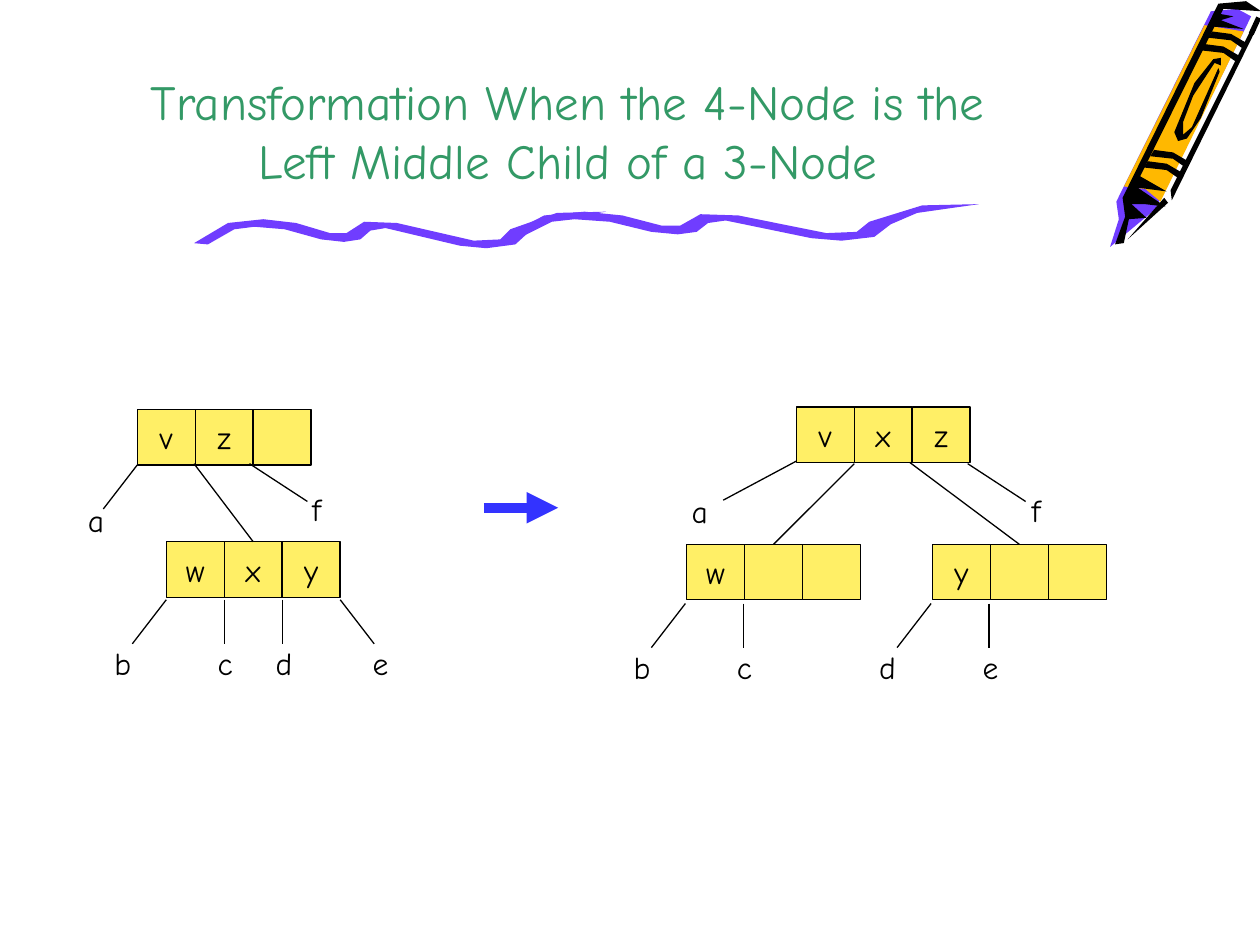
from dataclasses import dataclass

from lxml.etree import SubElement
from pptx import Presentation
from pptx.dml.color import RGBColor
from pptx.enum.shapes import MSO_CONNECTOR, MSO_SHAPE
from pptx.enum.text import MSO_ANCHOR, MSO_AUTO_SIZE, PP_ALIGN
from pptx.oxml.ns import qn
from pptx.util import Pt

PX = 9144  # 100 px to the inch


@dataclass(frozen=True)
class Theme:
    font: str = "Comic Neue"
    title_size: int = 28
    body_size: int = 18
    thin: float = 0.75
    title: str = "339966"
    ink: str = "000000"
    cell: str = "FFEF66"
    arrow: str = "3333FF"
    purple: str = "703DFF"
    orange: str = "FFB800"


THEME = Theme()
CELL_W, CELL_H = 46, 44
LABEL_W, LABEL_H = 30, 40

deck = Presentation()
deck.slide_width, deck.slide_height = 1000 * PX, 750 * PX
page = deck.slides.add_slide(deck.slide_layouts[5])


def write_text(shape, text, *, size=THEME.body_size, color=THEME.ink,
               align=PP_ALIGN.CENTER, anchor=MSO_ANCHOR.MIDDLE, wrap=True):
    frame = shape.text_frame
    frame.auto_size = MSO_AUTO_SIZE.NONE
    frame.word_wrap = wrap
    frame.vertical_anchor = anchor
    para = frame.paragraphs[0]
    para.alignment = align
    span = para.add_run()
    span.text = text
    span.font.name = THEME.font
    span.font.size = Pt(size)
    span.font.color.rgb = RGBColor.from_string(color)


def draw_line(start, end, *, color=THEME.ink, width=THEME.thin, arrow=False, child=None):
    """Draw a straight line; a child cell catches its end at the top middle."""
    line = page.shapes.add_connector(
        MSO_CONNECTOR.STRAIGHT, *(value * PX for value in (*start, *end)))
    line.line.color.rgb = RGBColor.from_string(color)
    line.line.width = Pt(width)
    properties = line._element.spPr
    if arrow:
        SubElement(properties.find(qn("a:ln")), qn("a:tailEnd"), type="triangle")
    SubElement(properties, qn("a:effectLst"))
    if child is not None:
        line.end_connect(child, 0)


# Crayon: colours first, then ink
outlines = [
    (THEME.purple, [(993, 13), (917, 166), (881, 196), (888, 174), (886, 160), (961, 9), (982, 7)]),
    (THEME.orange, [(921, 160), (909, 150), (892, 148), (956, 20), (987, 25)]),
    (THEME.ink, [(927, 161), (895, 190), (924, 157)]),
    (THEME.ink, [(987, 23), (961, 21), (968, 11), (979, 13), (969, 16)]),
    (THEME.ink, [(968, 57), (953, 94), (942, 110), (935, 112), (932, 105), (948, 66),
                 (963, 47), (969, 46), (969, 52), (964, 50), (947, 76), (939, 97),
                 (939, 107), (946, 101), (967, 54)]),
    (THEME.ink, [(997, 23), (930, 159), (929, 151), (993, 23)]),
    (THEME.ink, [(925, 164), (903, 149), (926, 152), (905, 140), (971, 7), (1001, 9),
                 (989, 1), (967, 3), (891, 157), (893, 172), (885, 194), (892, 193),
                 (896, 174), (910, 173), (898, 162), (908, 162)]),
]
# Four bands around the crayon share one shape
band = [(0, 0), (3, -5), (18, -3), (30, 4), (28, 9), (18, 2)]
for left, top in [(908, 133), (913, 124), (953, 40), (959, 30)]:
    outlines.append((THEME.ink, [(left + x, top + y) for x, y in band]))

# Underline: one wave, repeated a little wider and higher
wave = [(11, 27), (32, 15), (48, 13), (72, 15), (101, 23), (119, 25), (132, 23), (140, 16),
        (152, 14), (211, 28), (232, 30), (255, 27), (266, 17), (284, 8), (327, 1), (288, 2),
        (251, 15), (243, 23), (222, 24), (161, 10), (135, 9), (121, 18), (108, 18),
        (81, 10), (55, 7), (27, 10), (0, 26)]
for left, top, stretch in [(154, 167, 1), (401, 161, 1.15)]:
    outlines.append((THEME.purple, [(left + round(x * stretch), top + y) for x, y in wave]))

for color, points in outlines:
    builder = page.shapes.build_freeform(*points[0], scale=PX)
    builder.add_line_segments(points[1:], close=True)
    outline = builder.convert_to_shape()
    outline.shadow.inherit = False
    outline.fill.solid()
    outline.fill.fore_color.rgb = RGBColor.from_string(color)
    outline.line.fill.background()
draw_line((999, 14), (993, 27), width=3)

title = page.shapes.title
title.left, title.top, title.width, title.height = 75 * PX, 0, 751 * PX, 155 * PX
write_text(title, "Transformation When the 4-Node is the Left Middle Child of a 3-Node",
           size=THEME.title_size, color=THEME.title, anchor=MSO_ANCHOR.BOTTOM)

# Nodes: name, left, top, three keys
nodes = [
    ("before", 109, 325, ("v", "z", "")),
    ("four", 132, 430, ("w", "x", "y")),
    ("after", 632, 323, ("v", "x", "z")),
    ("left", 545, 432, ("w", "", "")),
    ("right", 740, 432, ("y", "", "")),
]
middle_cells = {}
for name, left, top, keys in nodes:
    for column, key in enumerate(keys):
        cell = page.shapes.add_shape(
            MSO_SHAPE.RECTANGLE, (left + column * CELL_W) * PX, top * PX,
            CELL_W * PX, CELL_H * PX)
        cell.shadow.inherit = False
        cell.fill.solid()
        cell.fill.fore_color.rgb = RGBColor.from_string(THEME.cell)
        cell.line.color.rgb = RGBColor.from_string(THEME.ink)
        cell.line.width = Pt(THEME.thin)
        if key:
            write_text(cell, key, wrap=False)
        if column == 1:
            middle_cells[name] = cell

# Links from a parent to the middle cell of its child
for start, child in [((154, 368), "four"), ((678, 368), "left"), ((722, 367), "right")]:
    draw_line(start, start, child=middle_cells[child])

# Subtrees: label, line start, line end, label corner
subtrees = [
    ("a", (109, 369), (82, 404), (60, 393)),
    ("f", (198, 368), (244, 398), (238, 384)),
    ("a", (632, 366), (574, 397), (539, 386)),
    ("f", (768, 368), (814, 398), (809, 385)),
]
# Below a child node: line slant and label offset for each cell edge
hangers = [(-27, -51), (0, -15), (0, -15), (27, 16)]
for left, top, labels in [(132, 476, "bcde"), (544, 479, "bc"), (739, 479, "de")]:
    for column, (label, (slant, offset)) in enumerate(zip(labels, hangers)):
        edge = left + column * CELL_W
        subtrees.append((label, (edge, top), (edge + slant, top + 35), (edge + offset, top + 30)))
for label, start, end, (left, top) in subtrees:
    draw_line(start, end)
    box = page.shapes.add_textbox(left * PX, top * PX, LABEL_W * PX, LABEL_H * PX)
    write_text(box, label, align=PP_ALIGN.LEFT, anchor=MSO_ANCHOR.TOP)

draw_line((384, 403), (443, 403), color=THEME.arrow, width=6, arrow=True)

deck.save("out.pptx")
